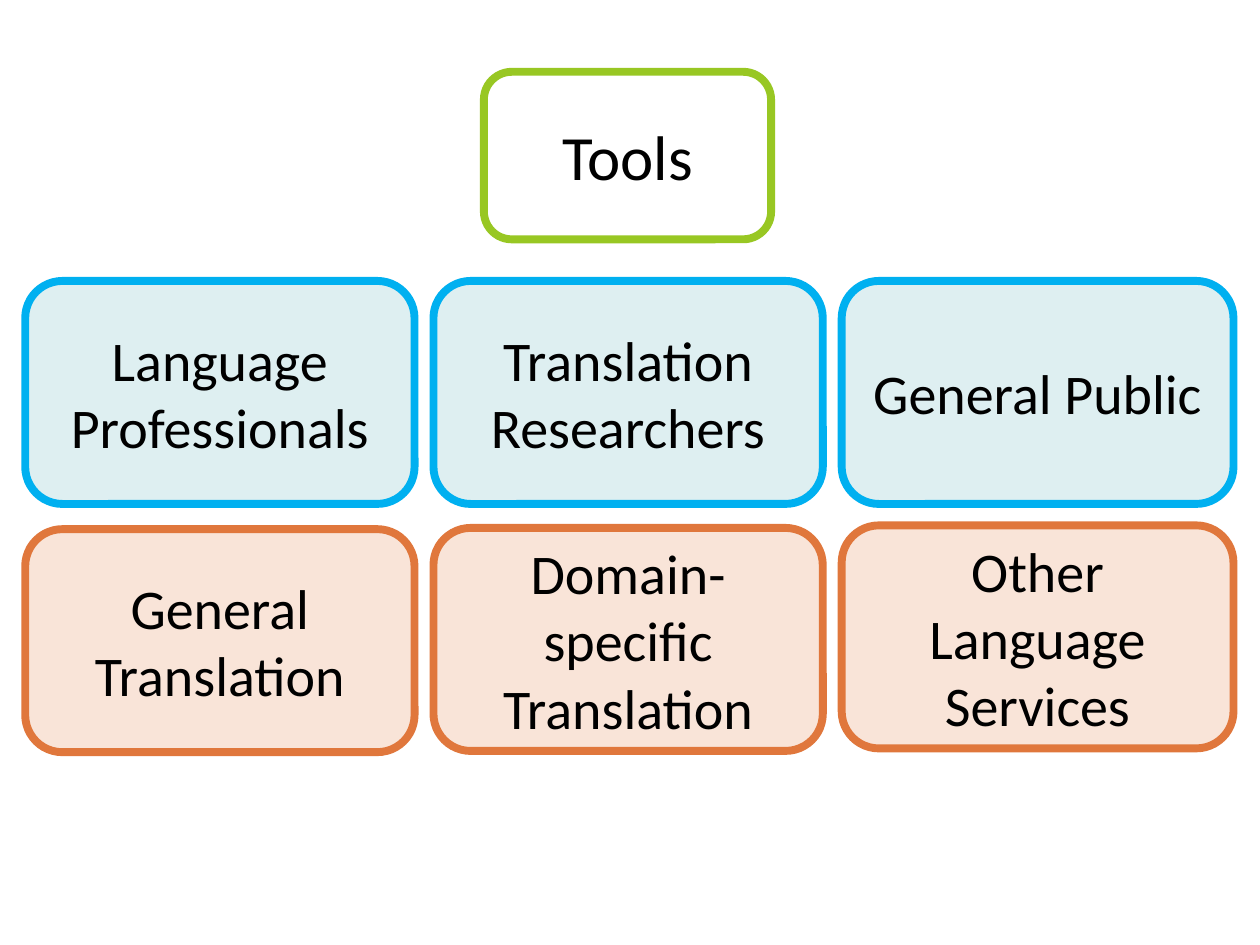
from dataclasses import dataclass

from pptx import Presentation
from pptx.dml.color import RGBColor as Rgb
from pptx.enum.shapes import MSO_SHAPE as Shape
from pptx.enum.text import MSO_ANCHOR as Anchor, PP_ALIGN as Align
from pptx.slide import Slide
from pptx.text.text import TextFrame
from pptx.util import Inches, Pt

COLORS = {
    "white": "FFFFFF", "black": "000000", "green": "98C723",
    "sky": "DEEFF1", "blue": "00B0F0", "peach": "F9E4D8", "orange": "E0773C",
}


@dataclass
class Box:
    text: str
    left: float
    top: float
    width: float
    height: float
    fill: str
    line: str
    size: int = 32


def color(name: str) -> Rgb:
    return Rgb.from_string(COLORS[name])


def write(frame: TextFrame, text: str, *, size: int, ink: str = "black",
          face: str = "Calibri", align: Align = Align.CENTER) -> None:
    frame.word_wrap = True
    frame.vertical_anchor = Anchor.MIDDLE
    para = frame.paragraphs[0]
    para.alignment = align
    run = para.add_run()
    run.text = text
    run.font.name = face
    run.font.size = Pt(size)
    run.font.color.rgb = color(ink)


def draw(slide: Slide, box: Box) -> None:
    shape = slide.shapes.add_shape(
        Shape.ROUNDED_RECTANGLE, Inches(box.left), Inches(box.top),
        Inches(box.width), Inches(box.height))
    shape.shadow.inherit = False
    shape.fill.solid()
    shape.fill.fore_color.rgb = color(box.fill)
    shape.line.color.rgb = color(box.line)
    shape.line.width = Pt(4.5)
    write(shape.text_frame, box.text, size=box.size)


# Columns as (left, width); rows as (labels, tops, fill, line)
COLS = [(0.2, 3.09), (3.44, 3.09), (6.68, 3.11)]
ROWS = [
    (["Language Professionals", "Translation Researchers", "General Public"],
     [2.23, 2.23, 2.23], "sky", "blue"),
    (["General Translation", "Domain-specific Translation",
      "Other Language Services"],
     [4.2, 4.19, 4.17], "peach", "orange"),
]


def main() -> None:
    deck = Presentation()
    deck.slide_width, deck.slide_height = Inches(10), Inches(7.5)
    slide = deck.slides.add_slide(deck.slide_layouts[6])

    # Heading box
    draw(slide, Box("Tools", 3.84, 0.57, 2.28, 1.33, "white", "green", 36))

    # Users above, services below
    for labels, tops, fill, line in ROWS:
        for text, top, (left, width) in zip(labels, tops, COLS):
            draw(slide, Box(text, left, top, width, 1.77, fill, line))

    deck.save("out.pptx")


if __name__ == "__main__":
    main()
